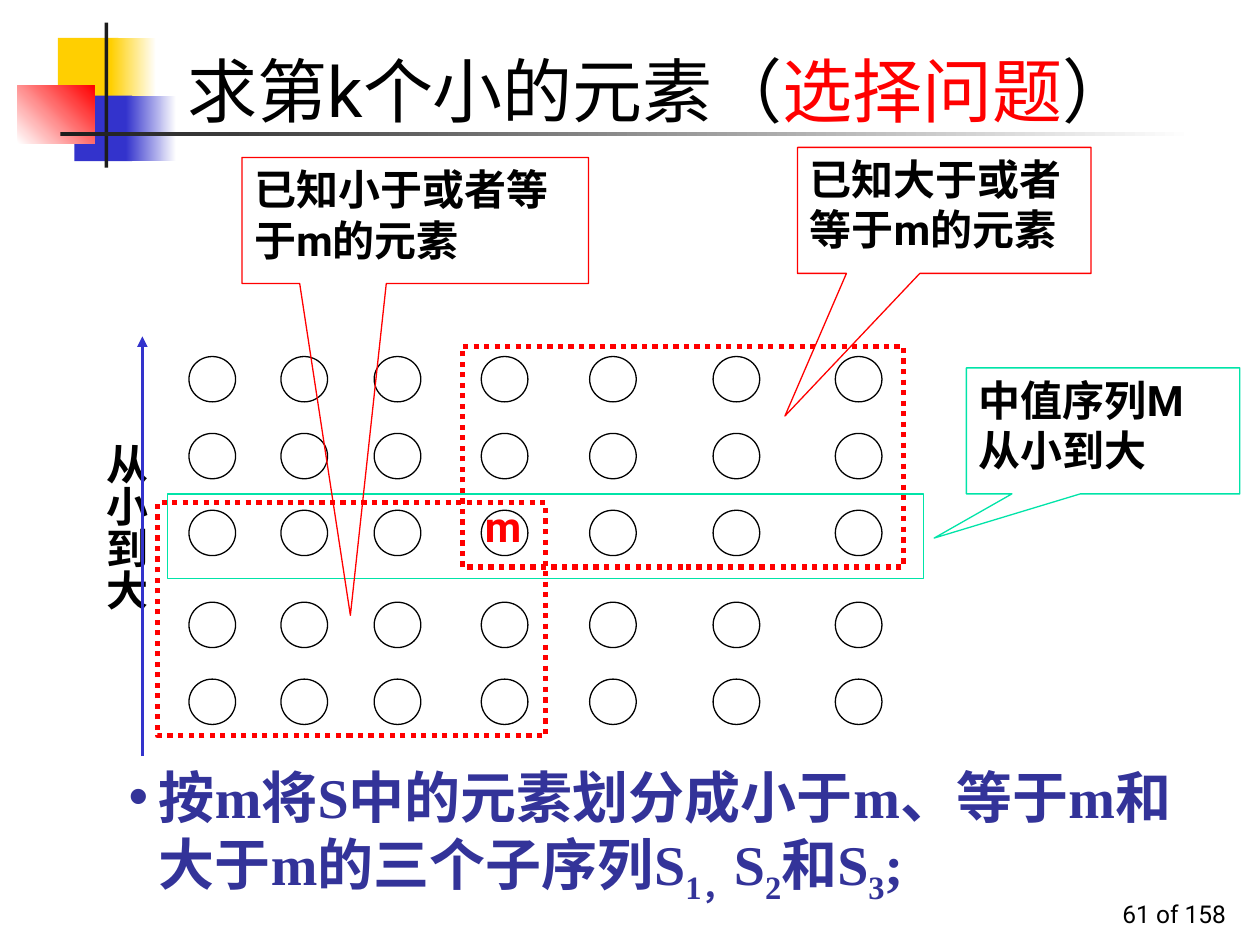
from lxml import etree
from pptx import Presentation
from pptx.dml.color import RGBColor
from pptx.enum.dml import MSO_LINE
from pptx.enum.shapes import MSO_CONNECTOR, MSO_SHAPE
from pptx.enum.text import MSO_ANCHOR, MSO_AUTO_SIZE, PP_ALIGN
from pptx.oxml.ns import qn
from pptx.util import Inches, Pt

RECT, OVAL = MSO_SHAPE.RECTANGLE, MSO_SHAPE.OVAL
CALLOUT = MSO_SHAPE.RECTANGULAR_CALLOUT
STRAIGHT = MSO_CONNECTOR.STRAIGHT
DOTS = MSO_LINE.ROUND_DOT
TOP, BOTTOM = MSO_ANCHOR.TOP, MSO_ANCHOR.BOTTOM
LEFT, RIGHT = PP_ALIGN.LEFT, PP_ALIGN.RIGHT
FIXED = MSO_AUTO_SIZE.NONE

BLACK, WHITE, RED, GREEN = "000000", "FFFFFF", "FF0000", "00E4A8"
GOLD, BLUE, NAVY, DARK = "FFCF01", "3333CC", "333399", "1C1C1C"
LABEL = {"size": Pt(24), "name": "Roboto", "bold": True}
HEAD = {"size": Pt(40), "name": "Roboto", "bold": False}
POINT = {"size": Pt(32), "name": "Times New Roman", "bold": True}
FOOT = {"size": Pt(14), "name": "Roboto", "bold": False}

BLOCKS = [
    ((0.46, 0.3, 0.48, 0.52), (GOLD,), 0),
    ((0.88, 0.3, 0.36, 0.52), (GOLD, WHITE), 0),
    ((0.59, 0.76, 0.46, 0.52), (BLUE,), 0),
    ((1, 0.76, 0.4, 0.52), (BLUE, WHITE), 0),
    ((0.14, 0.68, 0.61, 0.46), (WHITE, RED), 45),
    ((0.83, 0.18, 0.03, 1.15), (DARK,), 0),
    ((0.48, 1.05, 9, 0.03), (DARK, WHITE), 0),
]
COLS = [1.5, 2.23, 2.97, 3.82, 4.68, 5.66, 6.63]
ROWS = [2.83, 3.44, 4.05, 4.78, 5.39]


def rgb(code):
    """Turn a hex string into a colour."""
    return RGBColor.from_string(code)


def place(item, box):
    """Move and size an item in inches."""
    for key, value in zip(("left", "top", "width", "height"), box):
        setattr(item, key, Inches(value))


def write(item, parts, style, align=LEFT, anchor=TOP):
    """Fill an item with (text, colour, baseline) parts and return its paragraph."""
    frame = item.text_frame
    frame.word_wrap = True
    frame.auto_size = FIXED
    frame.vertical_anchor = anchor
    para = frame.paragraphs[0]
    para.alignment = align
    para.space_before = Pt(0)
    for text, color, base in parts:
        for row, line in enumerate(text.split("\n")):
            if row:
                para.add_line_break()
            run = para.add_run()
            run.text = line
            for key, value in style.items():
                setattr(run.font, key, value)
            run.font.color.rgb = rgb(color)
            if base:
                run.font._element.set("baseline", str(base * 1000))
    return para


def add_text(shapes, box, text, style, color=BLACK, **layout):
    """Add a text box with a single style."""
    item = shapes.add_textbox(*map(Inches, box))
    write(item, [(text, color, 0)], style, **layout)
    return item


def add_block(shapes, box, colors, angle):
    """Add a borderless block with a plain or graded fill."""
    block = shapes.add_shape(RECT, *map(Inches, box))
    block.shadow.inherit = False
    block.line.fill.background()
    if len(colors) == 1:
        block.fill.solid()
        block.fill.fore_color.rgb = rgb(colors[0])
        return
    block.fill.gradient()
    block.fill.gradient_angle = angle
    for stop, color, spot in zip(block.fill.gradient_stops, colors, (0, 1)):
        stop.color.rgb = rgb(color)
        stop.position = spot


def add_frame(shapes, kind, box, color, width=0.75, dash=None):
    """Add an unfilled outline shape."""
    frame = shapes.add_shape(kind, *map(Inches, box))
    frame.shadow.inherit = False
    frame.fill.background()
    frame.line.color.rgb = rgb(color)
    frame.line.width = Pt(width)
    if dash:
        frame.line.dash_style = dash
    return frame


def add_note(shapes, box, tip, color, text):
    """Add a callout that points at a spot given relative to its size."""
    note = add_frame(shapes, CALLOUT, box, color)
    for index, value in enumerate(tip):
        note.adjustments[index] = value
    write(note, [(text, BLACK, 0)], LABEL)


def add_arrow(shapes, start, end, color):
    """Add a straight arrow."""
    arrow = shapes.add_connector(STRAIGHT, *map(Inches, start + end))
    arrow.line.color.rgb = rgb(color)
    arrow.line.width = Pt(1.5)
    line = arrow.line._get_or_add_ln()
    etree.SubElement(line, qn("a:tailEnd"), type="triangle")
    etree.SubElement(arrow._element.spPr, qn("a:effectLst"))


def add_bullet(para, color, indent):
    """Give a paragraph a coloured bullet and a hanging indent."""
    props = para._p.get_or_add_pPr()
    props.set("marL", str(Inches(indent)))
    props.set("indent", str(-Inches(indent)))
    tint = etree.SubElement(props, qn("a:buClr"))
    etree.SubElement(tint, qn("a:srgbClr"), val=color)
    etree.SubElement(props, qn("a:buChar"), char="•")


def main():
    """Build the slide and save it."""
    deck = Presentation()
    deck.slide_width, deck.slide_height = Inches(10), Inches(7.5)
    slide = deck.slides.add_slide(deck.slide_layouts[1])
    shapes = slide.shapes
    title, body = slide.placeholders

    for block in BLOCKS:
        add_block(shapes, *block)
    place(title, (1.39, 0.17, 8.52, 0.92))
    write(title, [("求第k个小的元素（", BLACK, 0), ("选择问题", RED, 0),
                  ("）", BLACK, 0)], HEAD, anchor=BOTTOM)
    add_text(shapes, (7.75, 6.92, 2.08, 0.5), "61 of 158", FOOT,
             align=RIGHT, anchor=BOTTOM)

    grid = shapes.add_group_shape().shapes
    for left in COLS:
        for top in ROWS:
            add_frame(grid, OVAL, (left, top, 0.37, 0.36), BLACK)
    add_text(shapes, (3.75, 3.92, 0.5, 0.5), "m", LABEL, RED)

    add_frame(shapes, RECT, (1.33, 3.92, 6, 0.67), GREEN)
    add_note(shapes, (7.67, 2.92, 2.17, 1), (-0.618, 0.851), GREEN,
             "中值序列M\n从小到大")
    add_frame(shapes, RECT, (1.25, 3.99, 3.08, 1.85), RED, 3, DOTS)
    add_note(shapes, (1.92, 1.25, 2.75, 1), (-0.187, 3.134), RED,
             "已知小于或者等于m的元素")
    add_frame(shapes, RECT, (3.67, 2.75, 3.5, 1.75), RED, 3, DOTS)
    add_note(shapes, (6.33, 1.17, 2.33, 1), (-0.543, 1.632), RED,
             "已知大于或者等于m的元素")

    place(body, (0.92, 6, 8.58, 1.24))
    para = write(body, [
        ("按m将S中的元素划分成小于m、等于m和大于m的三个子序列S", NAVY, 0),
        ("1，", NAVY, -25), ("S", NAVY, 0), ("2", NAVY, -25),
        ("和S", NAVY, 0), ("3", NAVY, -25), (";", NAVY, 0)], POINT)
    add_bullet(para, NAVY, 0.24)

    axis = shapes.add_group_shape().shapes
    label = add_text(axis, (0.65, 3.42, 0.6, 1.83), "从小到大", LABEL)
    frame = label.text_frame
    frame._txBody.bodyPr.set("vert", "eaVert")
    frame.margin_left = frame.margin_right = Inches(0.05)
    frame.margin_top = frame.margin_bottom = Inches(0.1)
    add_arrow(axis, (1.13, 6), (1.13, 2.67), BLUE)

    deck.save("out.pptx")


if __name__ == "__main__":
    main()
